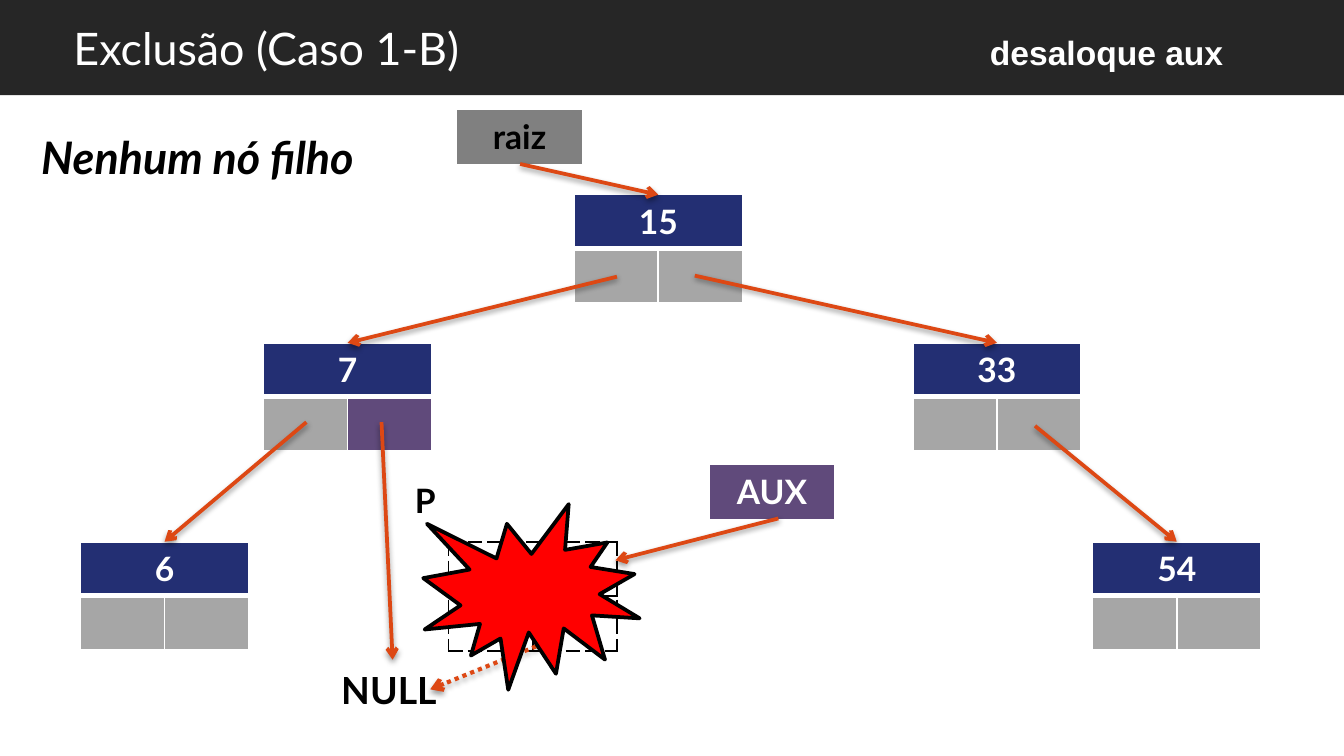
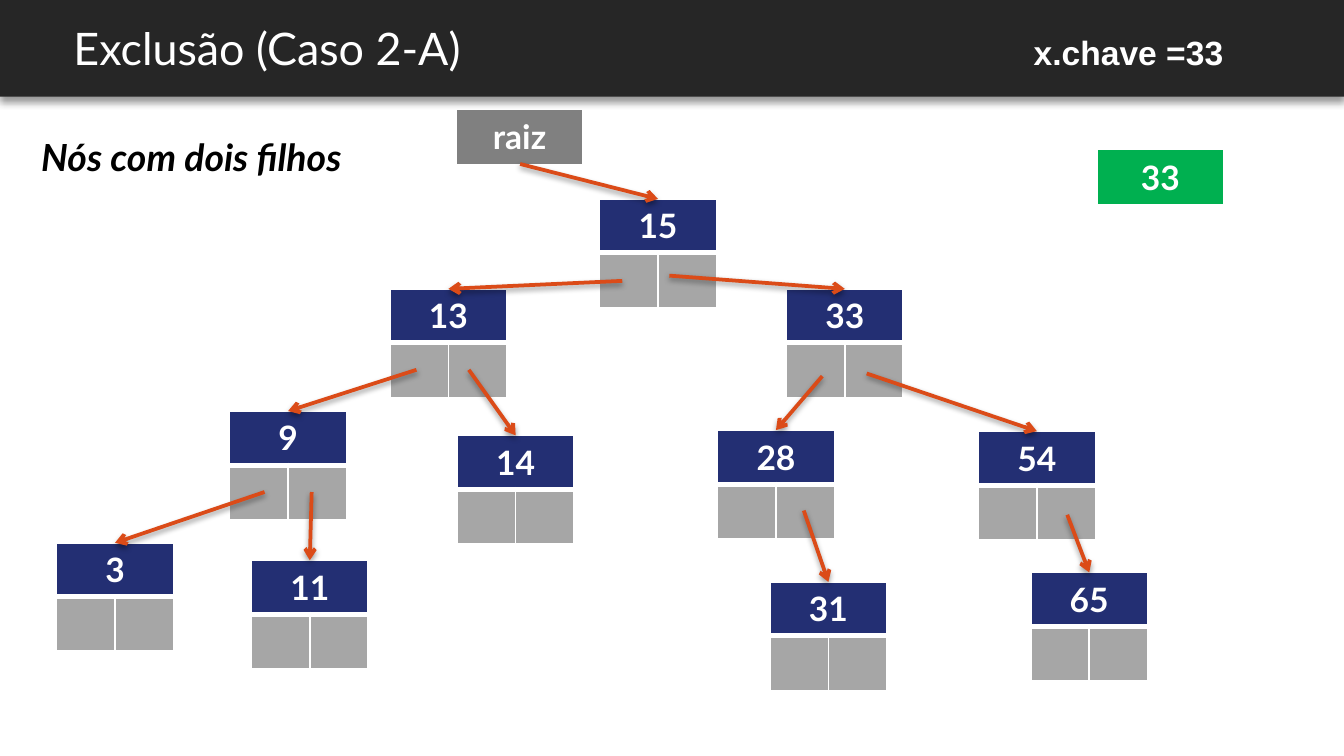
from dataclasses import dataclass
from itertools import product

from pptx import Presentation
from pptx.dml.color import RGBColor as RGB
from pptx.enum.dml import MSO_LINE as Dash
from pptx.enum.shapes import MSO_CONNECTOR as Connector, MSO_SHAPE as Shape
from pptx.enum.text import MSO_ANCHOR as Anchor, PP_ALIGN as Align
from pptx.oxml import parse_xml
from pptx.oxml.ns import nsdecls, qn
from pptx.util import Cm, Pt


@dataclass(frozen=True)
class Theme:
    band: str = "262626"
    white: str = "FFFFFF"
    black: str = "000000"
    key: str = "232F73"
    link: str = "A6A6A6"
    aux: str = "604A7B"
    root: str = "808080"
    found: str = "00B050"
    burst: str = "FF0000"
    font: str = "Lato"
    note_font: str = "Arial"
    title_size: int = 24
    null_size: int = 20
    size: int = 18


theme = Theme()
ROW = 1.02
NO_STYLE = "{2D5ABB26-0587-4C30-8999-92F81FD0307C}"
SHADOW = (
    f'<a:effectLst {nsdecls("a")}><a:outerShdw blurRad="{{}}" dist="{{}}" dir="5400000" '
    'rotWithShape="0"><a:srgbClr val="000000"><a:alpha val="{}"/></a:srgbClr>'
    "</a:outerShdw></a:effectLst>"
)
BORDER = (
    f'<a:{{}} {nsdecls("a")} w="{{}}"><a:solidFill><a:srgbClr val="{{}}"/></a:solidFill>'
    '<a:prstDash val="{}"/></a:{}>'
)


def write(frame, text, ink, size=theme.size, font=theme.font,
          align=Align.CENTER, bold=True, italic=False):
    frame.text = text
    para = frame.paragraphs[0]
    para.alignment = align
    for span in para.runs:
        span.font.name = font
        span.font.size = Pt(size)
        span.font.bold = bold
        span.font.italic = italic
        span.font.color.rgb = RGB.from_string(ink)


def add_grid(page, left, top, width, fills, text="", ink=theme.white, edge=None, dash="solid"):
    rows, columns = len(fills), len(fills[0])
    frame = page.shapes.add_table(rows, columns, Cm(left), Cm(top), Cm(width), Cm(ROW * rows))
    table = frame.table
    table.first_row = table.horz_banding = False
    table._tbl.tblPr.find(qn("a:tableStyleId")).text = NO_STYLE
    for row, column in product(range(rows), range(columns)):
        cell = table.cell(row, column)
        if edge:
            middle = 3 if dash == "solid" else 1
            weights = {"lnL": 1, "lnR": 1, "lnT": middle if row else 1, "lnB": 1 if row else middle}
            for side, weight in weights.items():
                line = BORDER.format(side, Pt(weight), edge, dash, side)
                cell._tc.get_or_add_tcPr().append(parse_xml(line))
        if fills[row][column]:
            cell.fill.solid()
            cell.fill.fore_color.rgb = RGB.from_string(fills[row][column])
        else:
            cell.fill.background()
    if columns > 1:
        table.cell(0, 0).merge(table.cell(0, columns - 1))
    if text:
        write(table.cell(0, 0).text_frame, text, ink)


slides = [
    {
        "title": "Exclusão (Caso 1-B)",
        "note": "desaloque aux",
        "case": "Nenhum nó filho",
        "case_size": 24,
        "band": (0, 1.8),
        "arrow": "DD4814",
        "node_width": 3.18,
        "nodes": [
            ("15", 10.85, 3.68, 9.83, 3.1),
            ("7", 4.98, 6.48, 11.66, 5.23),
            ("33", 17.25, 6.48, 13.13, 5.21),
            ("6", 1.52, 10.24, 5.79, 7.98),
            ("54", 20.65, 10.24, 19.56, 8.05),
        ],
        "freed_links": {"7"},
        "ghosts": [(8.48, 10.24)],
        "tags": [
            ("raiz", 8.64, 2.08, theme.root, theme.black),
            ("AUX", 13.41, 8.79, theme.aux, theme.white),
        ],
        "arrows": [
            (7.21, 7.98, 7.42, 12.47, False),
            (14.71, 9.8, 11.63, 10.59, False),
            (10.57, 12.04, 8.13, 13.03, True),
        ],
        "labels": [
            ("P", 7.59, 8.94, 0.91, 1.02, theme.size),
            ("NULL", 6.2, 12.47, 2.41, 1.12, theme.null_size),
        ],
        "bursts": [(8, 9.53, 4.09, 3.51)],
    },
    {
        "title": "Exclusão (Caso 2-A)",
        "note": "x.chave =33",
        "case": "Nós com dois filhos",
        "case_size": 20,
        "band": (-0.1, 1.93),
        "band_shadow": True,
        "arrow": "DB4B18",
        "node_width": 2.21,
        "nodes": [
            ("15", 11.33, 3.76, 9.83, 3.1),
            ("13", 7.37, 5.46, 11.76, 5.31),
            ("33", 14.86, 5.46, 12.65, 5.21),
            ("9", 4.34, 7.77, 7.87, 6.99),
            ("14", 8.64, 8.23, 8.86, 6.99),
            ("28", 13.56, 8.13, 15.54, 7.11),
            ("54", 18.49, 8.15, 16.38, 7.06),
            ("3", 1.07, 10.26, 5, 9.3),
            ("11", 4.75, 10.59, 5.89, 9.3),
            ("31", 14.55, 11, 15.19, 9.65),
            ("65", 19.48, 10.82, 20.17, 9.73),
        ],
        "tags": [
            ("raiz", 8.64, 2.08, theme.root, theme.white),
            ("33", 20.75, 2.84, theme.found, theme.white),
        ],
    },
]

deck = Presentation()
deck.slide_width = Cm(25.4)
deck.slide_height = Cm(14.29)

for content in slides:
    page = deck.slides.add_slide(deck.slide_layouts[6])

    band_top, band_height = content["band"]
    band = page.shapes.add_shape(Shape.RECTANGLE, 0, Cm(band_top), deck.slide_width, Cm(band_height))
    band.fill.solid()
    band.fill.fore_color.rgb = RGB.from_string(theme.band)
    band.line.fill.background()
    if content.get("band_shadow"):
        band._element.spPr.append(parse_xml(SHADOW.format(Pt(4), Pt(3), 40000)))
    else:
        band.shadow.inherit = False

    width = content["node_width"]
    for key, left, top, *start in content["nodes"]:
        right_link = theme.aux if key in content.get("freed_links", ()) else theme.link
        fills = [[theme.key, theme.key], [theme.link, right_link]]
        add_grid(page, left, top, width, fills, key, edge=theme.white)
    for left, top in content.get("ghosts", []):
        add_grid(page, left, top, width, [[None, None]] * 2, edge=theme.black, dash="sysDash")
    for text, left, top, fill, ink in content["tags"]:
        add_grid(page, left, top, 2.36, [[fill]], text, ink)

    arrows = [(x, y, left + width / 2, top, False) for key, left, top, x, y in content["nodes"]]
    for x, y, end_x, end_y, dotted in arrows + content.get("arrows", []):
        arrow = page.shapes.add_connector(Connector.STRAIGHT, Cm(x), Cm(y), Cm(end_x), Cm(end_y))
        arrow.line.color.rgb = RGB.from_string(content["arrow"])
        arrow.line.width = Pt(2.25 if dotted else 2)
        if dotted:
            arrow.line.dash_style = Dash.ROUND_DOT
        outline = arrow._element.spPr
        outline.find(qn("a:ln")).append(parse_xml(f'<a:tailEnd {nsdecls("a")} type="arrow"/>'))
        outline.append(parse_xml(SHADOW.format(Pt(3.1), Pt(1.6), 38000)))

    texts = [
        (content["title"], 1.14, 0, 22.99, 1.8,
         {"ink": theme.white, "size": theme.title_size, "bold": False, "align": Align.LEFT}),
        (content["note"], 14, 0.48, 9.37, 1.02,
         {"ink": theme.white, "font": theme.note_font, "align": Align.RIGHT}),
        (content["case"], 0.53, 2.06, 7.62, 1.8,
         {"ink": theme.black, "size": content["case_size"], "italic": True, "align": Align.LEFT}),
    ]
    for *place, size in content.get("labels", []):
        texts.append((*place, {"ink": theme.black, "size": size, "align": Align.LEFT}))
    for text, left, top, box_width, height, look in texts:
        box = page.shapes.add_textbox(Cm(left), Cm(top), Cm(box_width), Cm(height))
        box.text_frame.word_wrap = True
        box.text_frame.vertical_anchor = Anchor.MIDDLE
        write(box.text_frame, text, **look)

    for place in content.get("bursts", []):
        burst = page.shapes.add_shape(Shape.EXPLOSION1, *map(Cm, place))
        burst.shadow.inherit = False
        burst.fill.solid()
        burst.fill.fore_color.rgb = RGB.from_string(theme.burst)
        burst.line.color.rgb = RGB.from_string(theme.black)
        burst.line.width = Pt(2)

deck.save("out.pptx")
